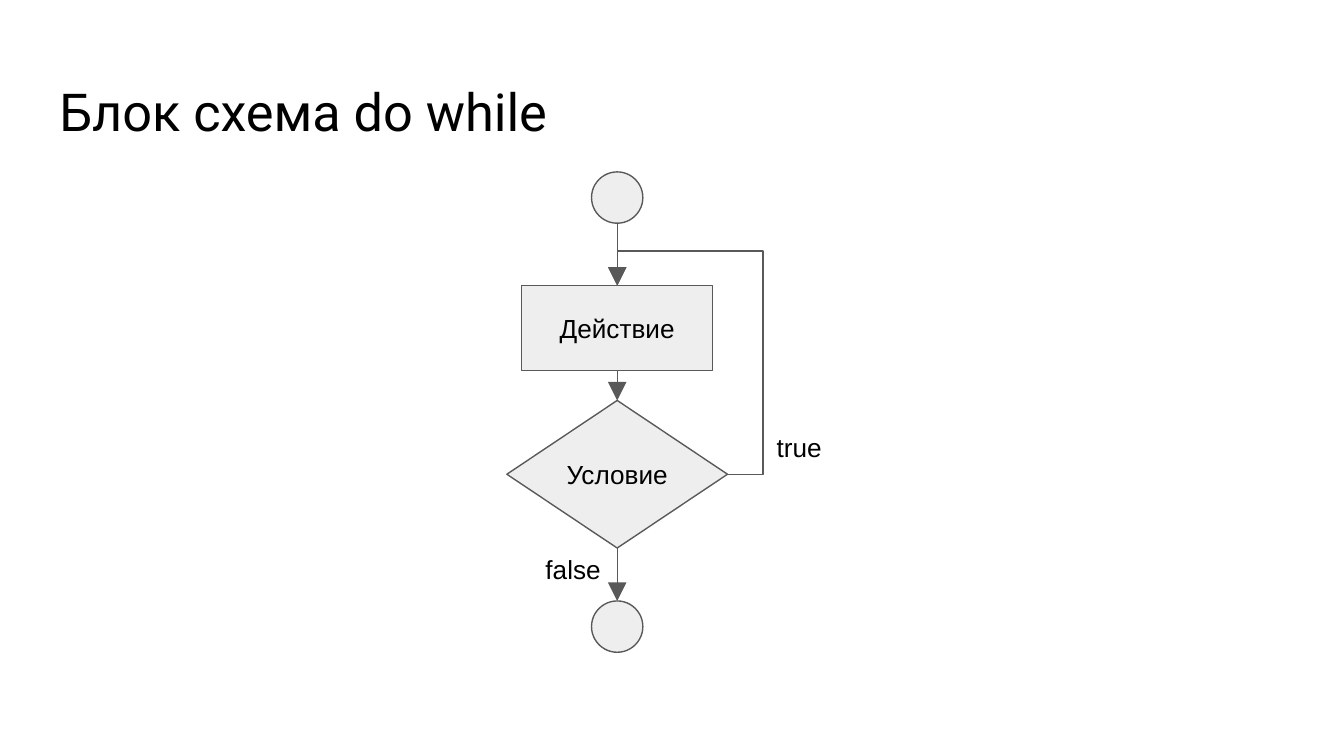
from pptx import Presentation
from pptx.dml.color import RGBColor
from pptx.enum.shapes import MSO_CONNECTOR, MSO_SHAPE
from pptx.enum.text import MSO_ANCHOR, MSO_AUTO_SIZE, PP_ALIGN
from pptx.oxml.ns import qn
from pptx.util import Cm, Pt
from lxml import etree

BLACK = RGBColor(0x00, 0x00, 0x00)
GREY = RGBColor(0x59, 0x59, 0x59)
PALE = RGBColor(0xEE, 0xEE, 0xEE)

DOT = MSO_SHAPE.FLOWCHART_CONNECTOR
STEP = MSO_SHAPE.FLOWCHART_PROCESS
TEST = MSO_SHAPE.FLOWCHART_DECISION
LINE, BENT = MSO_CONNECTOR.STRAIGHT, MSO_CONNECTOR.ELBOW
LEFT, MID = PP_ALIGN.LEFT, PP_ALIGN.CENTER
TOP, CORE = MSO_ANCHOR.TOP, MSO_ANCHOR.MIDDLE
FIXED = MSO_AUTO_SIZE.NONE

PAD = Cm(0.25)
FRAME = {"margin_left": PAD, "margin_top": PAD, "margin_right": PAD,
         "margin_bottom": PAD, "word_wrap": True, "auto_size": FIXED}
HEAD = {"name": "Roboto", "size": Pt(28)}
BODY = {"name": "Arial", "size": Pt(14)}


def apply(part, values):
    for key, value in values.items():
        setattr(part, key, value)


def write(shape, text, font, align, anchor):
    frame = shape.text_frame
    apply(frame, FRAME)
    frame.vertical_anchor = anchor
    para = frame.paragraphs[0]
    para.alignment = align
    run = para.add_run()
    run.text = text
    apply(run.font, font)
    run.font.color.rgb = BLACK


def block(group, kind, x, y, w, h):
    shape = group.shapes.add_shape(kind, Cm(x), Cm(y), Cm(w), Cm(h))
    shape.shadow.inherit = False
    shape.fill.solid()
    shape.fill.fore_color.rgb = PALE
    shape.line.color.rgb = GREY
    shape.line.width = Pt(0.75)
    return shape


def label(group, text, x, y, w, h, align=LEFT):
    box = group.shapes.add_textbox(Cm(x), Cm(y), Cm(w), Cm(h))
    write(box, text, BODY, align, CORE)


def arrow(group, kind, x1, y1, x2, y2):
    link = group.shapes.add_connector(kind, Cm(x1), Cm(y1), Cm(x2), Cm(y2))
    link.line.color.rgb = GREY
    link.line.width = Pt(0.75)
    etree.SubElement(link.line._get_or_add_ln(), qn("a:tailEnd"),
                     type="triangle", w="lg", len="lg")
    props = link._element.spPr
    etree.SubElement(props, qn("a:effectLst"))
    return props


def loop(group, x1, y1, x2, y2, side, rise):
    """Runs from (x1, y1) right to side, up to rise, then back to (x2, y2)."""
    # The half turn makes the lower right corner the start
    props = arrow(group, BENT, x2, y2, x1, y1)
    props.find(qn("a:xfrm")).set("rot", "10800000")
    geom = props.find(qn("a:prstGeom"))
    geom.set("prst", "bentConnector4")
    guides = geom.find(qn("a:avLst"))
    if guides is None:
        guides = etree.SubElement(geom, qn("a:avLst"))
    ratios = (x1 - side) / (x1 - x2), (y1 - rise) / (y1 - y2)
    for num, ratio in enumerate(ratios, 1):
        etree.SubElement(guides, qn("a:gd"), name=f"adj{num}",
                         fmla=f"val {round(ratio * 100000)}")


def title(slide, x, y, w, h):
    head = slide.shapes.title
    apply(head, {"left": Cm(x), "top": Cm(y), "width": Cm(w), "height": Cm(h)})
    write(head, "Блок схема do while", HEAD, LEFT, TOP)


def chart(slide, x, y, w, h):
    group = slide.shapes.add_group_shape()
    axis = x + w / 2
    dot, wide, tall, row = 0.97, 3.61, 1.6, 1.02
    act, test, deep = y + 2.15, y + 4.32, 2.79
    last, half = y + h - dot, test + deep / 2

    # Blocks
    for top in (last, y):
        block(group, DOT, axis - dot / 2, top, dot, dot)
    block(group, TEST, x, test, w, deep)
    step = block(group, STEP, axis - wide / 2, act, wide, tall)
    write(step, "Действие", BODY, MID, CORE)

    # Labels
    label(group, "true", x + 4.85, y + 4.7, 1.4, row)
    label(group, "false", x + 0.48, y + 7, 1.6, row)
    label(group, "Условие", axis - wide / 2, half - row / 2, wide, row, MID)

    # Arrows
    for start, end in ((test + deep, last), (act + tall, test),
                       (y + dot, act)):
        arrow(group, LINE, axis, start, axis, end)
    loop(group, x + w, half, axis, act, x + w + 0.67, act - 0.66)


def main():
    deck = Presentation()
    apply(deck, {"slide_width": Cm(25.4), "slide_height": Cm(14.29)})
    slide = deck.slides.add_slide(deck.slide_layouts[5])
    title(slide, 0.87, 1.24, 23.67, 1.6)
    chart(slide, 9.58, 3.25, 4.17, 9.08)
    deck.save("out.pptx")


if __name__ == "__main__":
    main()
